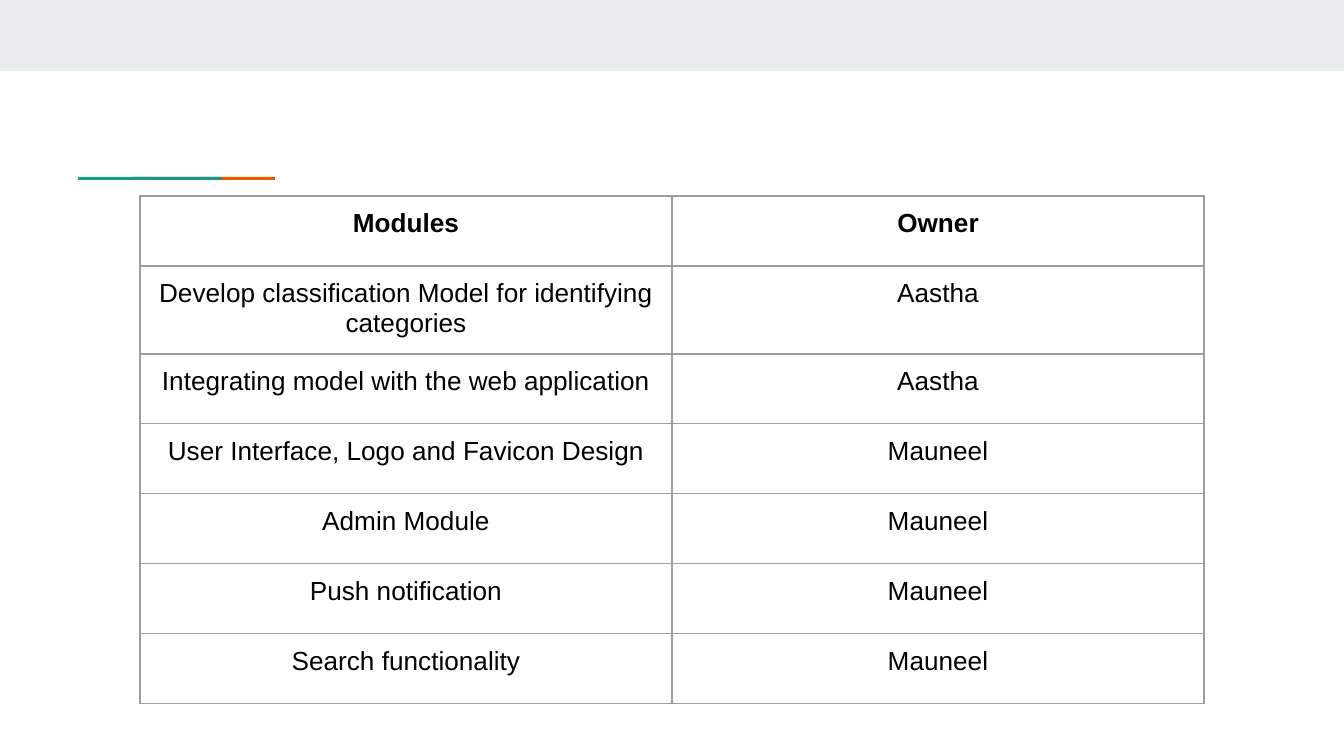
from lxml.etree import SubElement
from pptx import Presentation
from pptx.dml.color import RGBColor
from pptx.enum.shapes import MSO_SHAPE
from pptx.enum.text import PP_ALIGN
from pptx.oxml.ns import qn
from pptx.util import Emu, Pt

EMU_PER_PX = 914400 / 134.4
SLIDE_W, SLIDE_H = 1344, 756

BAND = RGBColor(0xE9, 0xED, 0xEE)
ORANGE = RGBColor(0xEB, 0x56, 0x00)
TEAL = RGBColor(0x1A, 0x99, 0x88)
BLACK = RGBColor(0x00, 0x00, 0x00)
BORDER = RGBColor(0x9E, 0x9E, 0x9E)

COL_W, ROW_H, TALL_ROW_H = 532, 70, 88
CELL_MARGIN = 13
ROWS = [
    ("Modules", "Owner"),
    ("Develop classification Model for identifying categories", "Aastha"),
    ("Integrating model with the web application", "Aastha"),
    ("User Interface, Logo and Favicon Design", "Mauneel"),
    ("Admin Module", "Mauneel"),
    ("Push notification", "Mauneel"),
    ("Search functionality", "Mauneel"),
]
ROW_HEIGHTS = [ROW_H, TALL_ROW_H] + [ROW_H] * (len(ROWS) - 2)


def px(n):
    return Emu(round(n * EMU_PER_PX))


def add_bar(s, x, y, w, h, color):
    sp = s.shapes.add_shape(MSO_SHAPE.RECTANGLE, px(x), px(y), px(w), px(h))
    sp.shadow.inherit = False
    sp.fill.solid()
    sp.fill.fore_color.rgb = color
    sp.line.fill.background()


def set_borders(cell):
    """Draw the four edges; they must come before the fill in tcPr."""
    tc_pr = cell._tc.get_or_add_tcPr()
    for edge in ("a:lnL", "a:lnR", "a:lnT", "a:lnB"):
        ln = SubElement(tc_pr, qn(edge), w=str(Pt(0.75)))
        fill = SubElement(ln, qn("a:solidFill"))
        SubElement(fill, qn("a:srgbClr"), val=str(BORDER))


def fill_cell(cell, text, bold):
    set_borders(cell)
    cell.fill.background()
    cell.margin_left = cell.margin_right = px(CELL_MARGIN)
    cell.margin_top = cell.margin_bottom = px(CELL_MARGIN)
    p = cell.text_frame.paragraphs[0]
    p.alignment = PP_ALIGN.CENTER
    r = p.add_run()
    r.text = text
    r.font.name = "Arial"
    r.font.size = Pt(14)
    r.font.bold = bold
    r.font.color.rgb = BLACK


def add_module_table(s, x, y):
    table = s.shapes.add_table(
        len(ROWS), 2, px(x), px(y), px(2 * COL_W), px(sum(ROW_HEIGHTS))
    ).table
    table.first_row = table.horz_banding = False
    for column in table.columns:
        column.width = px(COL_W)
    for i, (texts, height) in enumerate(zip(ROWS, ROW_HEIGHTS)):
        table.rows[i].height = px(height)
        for j, text in enumerate(texts):
            fill_cell(table.cell(i, j), text, bold=i == 0)


def main():
    prs = Presentation()
    prs.slide_width, prs.slide_height = px(SLIDE_W), px(SLIDE_H)
    s = prs.slides.add_slide(prs.slide_layouts[6])
    add_bar(s, 0, 0, SLIDE_W, 71, BAND)
    add_bar(s, 132, 177, 143, 3, ORANGE)
    add_bar(s, 78, 177, 143, 3, TEAL)
    add_module_table(s, 140, 196)
    prs.save("out.pptx")


if __name__ == "__main__":
    main()
